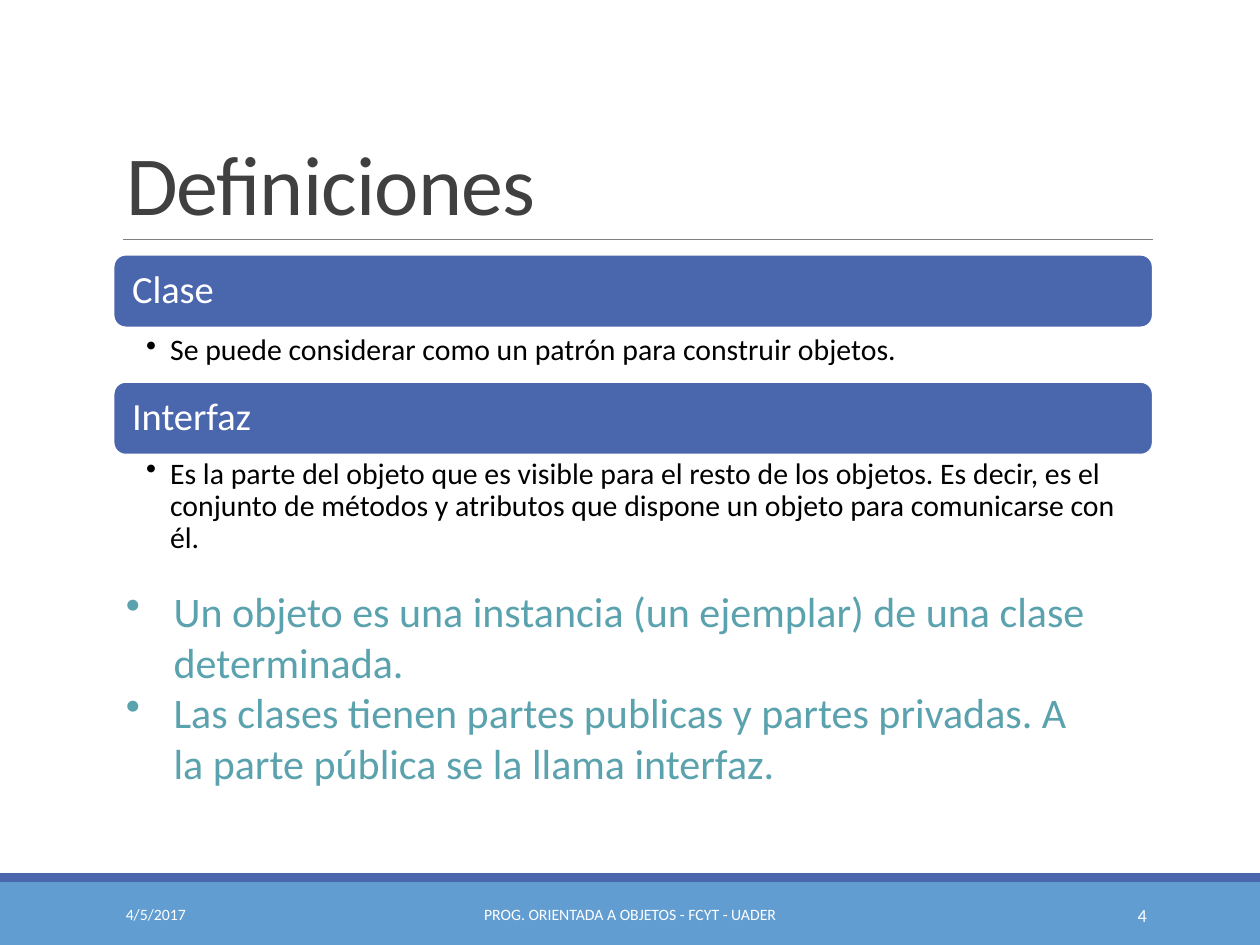
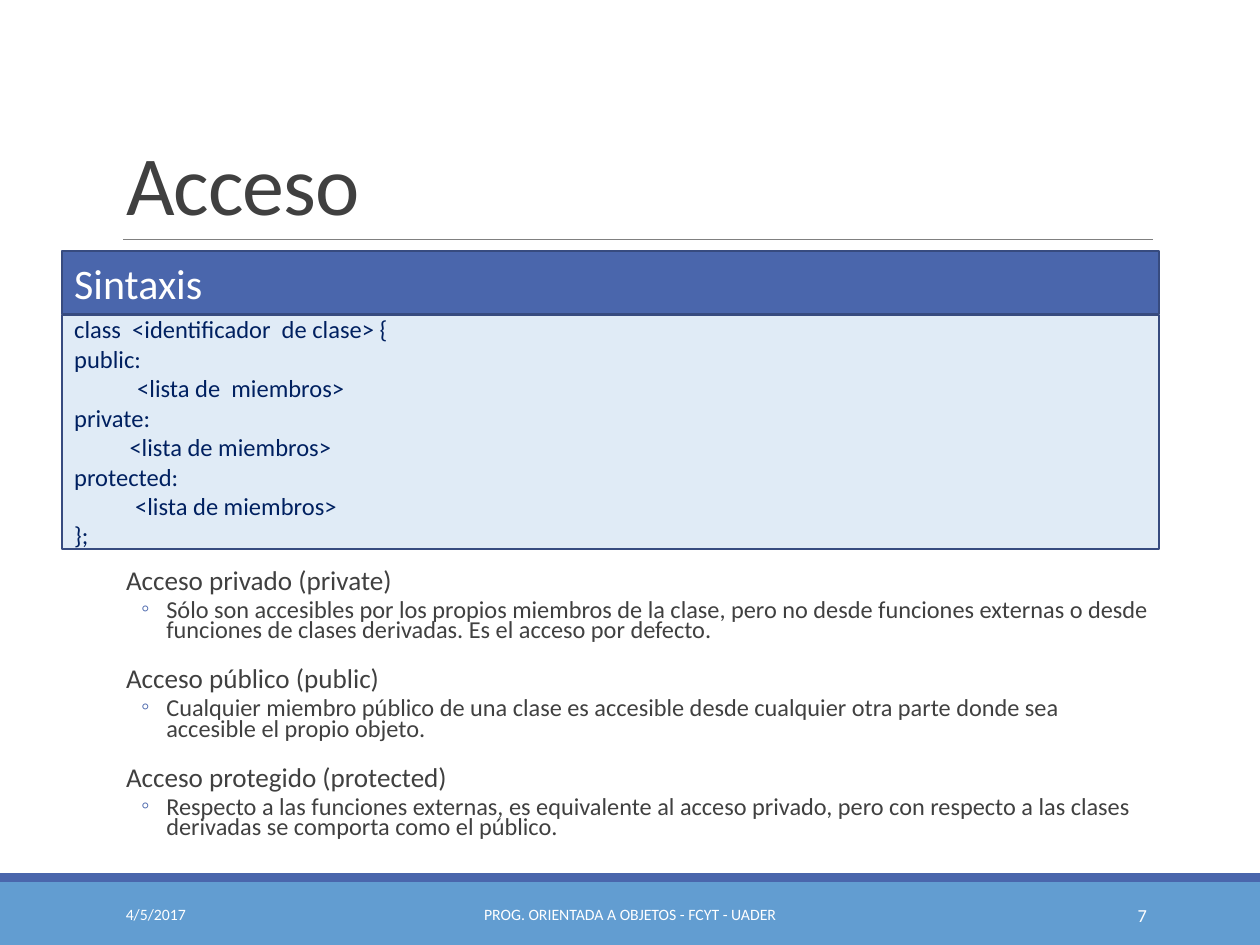
from lxml.etree import SubElement
from pptx import Presentation
from pptx.dml.color import RGBColor
from pptx.enum.shapes import MSO_CONNECTOR, MSO_SHAPE
from pptx.enum.text import MSO_ANCHOR, MSO_AUTO_SIZE, PP_ALIGN
from pptx.oxml.ns import qn
from pptx.util import Inches, Pt

FONT = "Calibri"
BLUE, SKY, PALE, EDGE = "4A66AC", "629DD1", "E0EBF6", "374B7F"
WHITE, BLACK, INK, GREY = "FFFFFF", "000000", "404040", "808080"
TEAL, NAVY = "5AA2AE", "002060"
LEFT, WIDTH = 0.9, 8.25
DATE = "4/5/2017"
COURSE = "PROG. ORIENTADA A OBJETOS - FCYT - UADER"


def rgb(value):
    return RGBColor.from_string(value)


class Deck:
    def __init__(self):
        self.prs = Presentation()
        self.prs.slide_width, self.prs.slide_height = Inches(10), Inches(7.5)
        self.s = None

    def slide(self, layout, title, number):
        self.s = self.prs.slides.add_slide(self.prs.slide_layouts[layout])
        self.box((0, 7, 10, 0.5), SKY)
        self.box((0, 6.93, 10, 0.07), BLUE)
        self.rule(0.98, 9.15, 1.9)
        self.title(title)
        self.text((LEFT, 7.06, 2.03, 0.4), DATE, 9, WHITE, anchor=MSO_ANCHOR.MIDDLE)
        self.text((3.02, 7.06, 3.96, 0.4), COURSE, 9, WHITE,
                  anchor=MSO_ANCHOR.MIDDLE, align=PP_ALIGN.CENTER)
        self.text((8.12, 7.06, 1.08, 0.4), str(number), 10.5, WHITE,
                  anchor=MSO_ANCHOR.MIDDLE, align=PP_ALIGN.RIGHT)

    def place(self, sp, at):
        sp.left, sp.top, sp.width, sp.height = map(Inches, at)

    def frame(self, sp, anchor=MSO_ANCHOR.TOP, inset=(0.1, 0.05, 0.1, 0.05)):
        tf = sp.text_frame
        tf.word_wrap = True
        tf.auto_size = MSO_AUTO_SIZE.NONE
        tf.vertical_anchor = anchor
        tf.margin_left, tf.margin_top, tf.margin_right, tf.margin_bottom = map(Inches, inset)
        return tf

    def para(self, tf, text, size, color, align=PP_ALIGN.LEFT, spacing=1.0,
             before=0, after=0, indent=0, hang=0, bullet=None, bullet_color=None, tab=None):
        first = not tf.paragraphs[0].runs
        p = tf.paragraphs[0] if first else tf.add_paragraph()
        p.alignment = align
        p.line_spacing = spacing
        p.space_before = Pt(0 if first else before)
        p.space_after = Pt(after)
        pPr = p._p.get_or_add_pPr()
        pPr.set("marL", str(Inches(indent)))
        pPr.set("indent", str(-Inches(hang)))
        if bullet_color:
            SubElement(SubElement(pPr, qn("a:buClr")), qn("a:srgbClr")).set("val", bullet_color)
        if bullet:
            SubElement(pPr, qn("a:buChar")).set("char", bullet)
        else:
            SubElement(pPr, qn("a:buNone"))
        if tab:
            stop = SubElement(SubElement(pPr, qn("a:tabLst")), qn("a:tab"))
            stop.set("pos", str(Inches(tab)))
            stop.set("algn", "l")
        r = p.add_run()
        r.text = text
        r.font.name, r.font.size, r.font.bold = FONT, Pt(size), False
        r.font.color.rgb = rgb(color)
        return r

    def title(self, text):
        sp = self.s.shapes.title
        self.place(sp, (LEFT, 0.31, WIDTH, 1.59))
        r = self.para(self.frame(sp, MSO_ANCHOR.BOTTOM), text, 48, INK, spacing=0.85)
        r.font._element.set("spc", "-50")

    def box(self, at, fill, line=None, shape=MSO_SHAPE.RECTANGLE):
        sp = self.s.shapes.add_shape(shape, *map(Inches, at))
        sp.shadow.inherit = False
        sp.fill.solid()
        sp.fill.fore_color.rgb = rgb(fill)
        if line:
            sp.line.color.rgb = rgb(line)
            sp.line.width = Pt(1.25)
        else:
            sp.line.fill.background()
        return sp

    def rule(self, x1, x2, y):
        c = self.s.shapes.add_connector(MSO_CONNECTOR.STRAIGHT, *map(Inches, (x1, y, x2, y)))
        c.line.color.rgb = rgb(GREY)
        c.line.width = Pt(0.5)
        SubElement(c._element.spPr, qn("a:effectLst"))

    def text(self, at, text, size, color, anchor=MSO_ANCHOR.TOP,
             inset=(0.1, 0.05, 0.1, 0.05), **style):
        tf = self.frame(self.s.shapes.add_textbox(*map(Inches, at)), anchor, inset)
        for line in [text] if isinstance(text, str) else text:
            self.para(tf, line, size, color, **style)

    def definition(self, top, term, meaning, gap, height):
        sp = self.box((LEFT, top, WIDTH, 0.58), BLUE, WHITE, MSO_SHAPE.ROUNDED_RECTANGLE)
        tf = self.frame(sp, MSO_ANCHOR.MIDDLE, (0.12, 0.09, 0.12, 0.09))
        self.para(tf, term, 22, WHITE, spacing=0.9)
        self.text((LEFT, top + 0.58 + gap, WIDTH, height), meaning, 17, BLACK,
                  inset=(0.26, 0.03, 0.17, 0.03), spacing=0.9,
                  indent=0.19, hang=0.19, bullet="•")

    def panel(self, top, height, fill, lines, size, color, tab=None):
        tf = self.frame(self.box((0.49, top, 8.71, height), fill, EDGE), MSO_ANCHOR.MIDDLE)
        for line in lines:
            self.para(tf, line, size, color, tab=tab)

    def body(self, at, entries):
        sp = self.s.placeholders[1]
        self.place(sp, at)
        tf = self.frame(sp, inset=(0, 0.05, 0, 0.05))
        for heading, detail in entries:
            self.para(tf, heading, 15.5, INK, spacing=0.7, before=12, after=2, indent=0.1)
            self.para(tf, detail, 13.9, INK, spacing=0.7, before=2, after=4,
                      indent=0.42, hang=0.2, bullet="◦", bullet_color=BLUE)
            tf.paragraphs[-1].level = 1


def main():
    deck = Deck()

    deck.slide(5, "Definiciones", 4)
    deck.definition(2.02, "Clase",
                    "Se puede considerar como un patrón para construir objetos.", 0.03, 0.4)
    deck.definition(3.03, "Interfaz",
                    "Es la parte del objeto que es visible para el resto de los objetos. "
                    "Es decir, es el conjunto de métodos y atributos que dispone un objeto "
                    "para comunicarse con él.", 0, 0.85)
    deck.text((LEFT, 4.6, 7.83, 1.72), [
        "Un objeto es una instancia (un ejemplar) de una clase determinada.",
        "Las clases tienen partes publicas y partes privadas. "
        "A la parte pública se la llama interfaz.",
    ], 24, TEAL, indent=0.38, hang=0.38, bullet="•")

    deck.slide(1, "Acceso", 7)
    deck.body((LEFT, 4.49, WIDTH, 2.35), [
        ("Acceso privado (private)",
         "Sólo son accesibles por los propios miembros de la clase, pero no desde funciones "
         "externas o desde funciones de clases derivadas. Es el acceso por defecto."),
        ("Acceso público (public)",
         "Cualquier miembro público de una clase es accesible desde cualquier otra parte "
         "donde sea accesible el propio objeto."),
        ("Acceso protegido (protected)",
         "Respecto a las funciones externas, es equivalente al acceso privado, pero con "
         "respecto a las clases derivadas se comporta como el público."),
    ])
    deck.panel(1.99, 0.5, BLUE, ["Sintaxis"], 24, WHITE)
    deck.panel(2.5, 1.86, PALE, [
        "class  <identificador  de clase> {",
        "public:",
        "\t<lista de  miembros>",
        "private:",
        "          <lista de miembros>",
        "protected:",
        "           <lista de miembros>",
        "};",
    ], 14, NAVY, tab=0.5)

    deck.prs.save("out.pptx")


if __name__ == "__main__":
    main()
